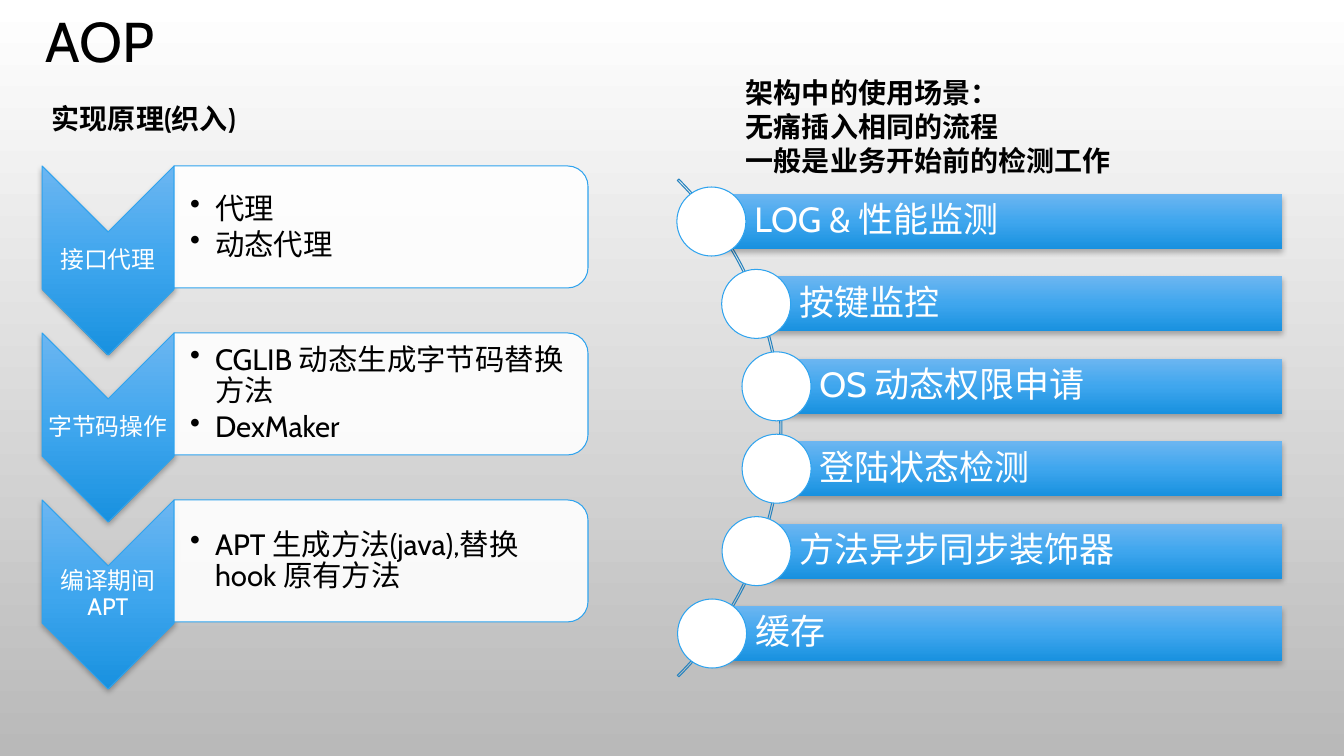
from math import sqrt

from lxml import etree
from pptx import Presentation
from pptx.dml.color import RGBColor
from pptx.enum.shapes import MSO_SHAPE
from pptx.enum.text import MSO_ANCHOR, PP_ALIGN
from pptx.oxml.ns import qn
from pptx.util import Emu, Pt

# Content
TITLE = "AOP"
HEADINGS = [  # left, top, width, height, lines
    (42, 97, 233, 44, ["实现原理(织入)"]),
    (736, 71, 388, 112, ["架构中的使用场景：", "无痛插入相同的流程", "一般是业务开始前的检测工作"]),
]
STEPS = [
    ("接口代理", ["代理", "动态代理"]),
    ("字节码操作", ["CGLIB 动态生成字节码替换方法", "DexMaker"]),
    ("编译期间 APT", ["APT 生成方法(java),替换 hook 原有方法"]),
]
USES = ["LOG & 性能监测", "按键监控", "OS 动态权限申请",
        "登陆状态检测", "方法异步同步装饰器", "缓存"]

# Style
FONT = "Cabin"
BLACK = RGBColor(0x00, 0x00, 0x00)
WHITE = RGBColor(0xFF, 0xFF, 0xFF)
GREY = RGBColor(0xB9, 0xB9, 0xB9)
EDGE_BLUE = RGBColor(0x2F, 0xA3, 0xEE)
ARC_BLUE = RGBColor(0x26, 0x83, 0xBF)
BLUES = [(0, RGBColor(0x6C, 0xB6, 0xF1)), (50, RGBColor(0x3F, 0xA6, 0xEE)),
         (100, RGBColor(0x18, 0x91, 0xDF))]
CHEVRON, PANEL = MSO_SHAPE.CHEVRON, MSO_SHAPE.ROUND_2_SAME_RECTANGLE
ARC, BAR, DOT = MSO_SHAPE.BLOCK_ARC, MSO_SHAPE.RECTANGLE, MSO_SHAPE.OVAL
MIDDLE, TOP = MSO_ANCHOR.MIDDLE, MSO_ANCHOR.TOP
LEFT, CENTER = PP_ALIGN.LEFT, PP_ALIGN.CENTER

# Layout in px
STEP_LEFT, STEP_TOP, STEP_PITCH = 42, 166, 167
CHEVRON_W, CHEVRON_H = 132, 189
PANEL_W, PANEL_H = 414, 122
ARC_X, ARC_Y, ARC_SIZE, DOT_ORBIT = 430, 428, 704, 349
BAR_TOP, BAR_SPAN, BAR_H, BAR_RIGHT, DOT_SIZE = 194, 412, 55, 1282, 69


def px(length):
    return Emu(round(length * 914400 / 100.8))


def add_child(parent, tag, **attributes):
    child = etree.SubElement(parent, qn(tag))
    for name, value in attributes.items():
        child.set(name, str(value))
    return child


def add_plain(kind, left, top, width, height, line=None):
    shape = page.shapes.add_shape(kind, px(left), px(top), px(width), px(height))
    shape.shadow.inherit = False
    shape.fill.background()
    if line is None:
        shape.line.fill.background()
    else:
        shape.line.color.rgb = line
        shape.line.width = Pt(0.75)
    return shape


def add_turned(kind, left, top, width, height):
    """Quarter-turned shape that shows in the given box."""
    shift = (width - height) / 2
    shape = add_plain(kind, left + shift, top - shift, height, width, EDGE_BLUE)
    shape.rotation = 90
    return shape


def paint_blue(shape):
    """Upright blue gradient with a soft shadow below."""
    properties = shape.fill._xPr
    gradient = etree.Element(qn("a:gradFill"), rotWithShape="0")
    stops = add_child(gradient, "a:gsLst")
    for position, color in BLUES:
        stop = add_child(stops, "a:gs", pos=position * 1000)
        add_child(stop, "a:srgbClr", val=color)
    add_child(gradient, "a:lin", ang=5400000, scaled=0)
    properties.replace(properties.find(qn("a:noFill")), gradient)
    shadow = add_child(properties.find(qn("a:effectLst")), "a:outerShdw",
                       blurRad=Pt(4), dist=Pt(2), dir=5400000, rotWithShape=0)
    add_child(add_child(shadow, "a:srgbClr", val=BLACK), "a:alpha", val=28000)


def write(box, lines, size, color=BLACK, align=LEFT, anchor=MIDDLE, insets=None,
          spacing=None, bold=False, bullets=False):
    frame = box.text_frame
    frame.word_wrap = True
    frame.vertical_anchor = anchor
    if insets:
        (frame.margin_left, frame.margin_top,
         frame.margin_right, frame.margin_bottom) = map(px, insets)
    for index, line in enumerate(lines):
        para = frame.add_paragraph() if index else frame.paragraphs[0]
        para.alignment = align
        if spacing:
            para.line_spacing = spacing
        if bullets:
            para.space_after = Pt(3)
            settings = para._p.get_or_add_pPr()
            settings.set("marL", str(px(25)))
            settings.set("indent", str(-px(25)))
            add_child(settings, "a:buChar", char="•")
        span = para.add_run()
        span.text = line
        span.font.name = FONT
        span.font.size = Pt(size)
        span.font.bold = bold
        span.font.color.rgb = color


def add_text(left, top, width, height, lines, size, **style):
    box = page.shapes.add_textbox(px(left), px(top), px(width), px(height))
    write(box, lines, size, **style)


deck = Presentation()
deck.slide_width, deck.slide_height = px(1344), px(756)
page = deck.slides.add_slide(deck.slide_layouts[5])

# Background and title
backdrop = page.background.fill
backdrop.gradient()
backdrop.gradient_angle = 270
for stop, color in zip(backdrop.gradient_stops, (WHITE, GREY)):
    stop.color.rgb = color
title = page.shapes.title
title.left, title.top, title.width, title.height = px(0), px(19), px(200), px(51)
write(title, [TITLE], 40, align=CENTER, spacing=0.9)

# Implementation steps
panel_left = STEP_LEFT + CHEVRON_W
for index, (label, points) in enumerate(STEPS):
    top = STEP_TOP + index * STEP_PITCH
    paint_blue(add_turned(CHEVRON, STEP_LEFT, top, CHEVRON_W, CHEVRON_H))
    add_text(STEP_LEFT, top + 67, CHEVRON_W, 56, [label], 17, color=WHITE,
             align=CENTER, insets=(1, 1, 1, 1), spacing=0.9)
    panel = add_turned(PANEL, panel_left, top, PANEL_W, PANEL_H)
    panel.fill.solid()
    panel.fill.fore_color.rgb = WHITE
    add_child(panel.fill._xPr.find(qn("a:solidFill"))[0], "a:alpha", val=90000)
    add_text(panel_left, top + 6, PANEL_W - 6, PANEL_H - 11, points, 21,
             insets=(16, 1, 1, 1), spacing=0.9, bullets=True)

# Column headings
for left, top, width, height, lines in HEADINGS:
    add_text(left, top, width, height, lines, 20, anchor=TOP, bold=True)

# Arc behind the use cases
arc = add_plain(ARC, ARC_X - ARC_SIZE / 2, ARC_Y - ARC_SIZE / 2,
                ARC_SIZE, ARC_SIZE, ARC_BLUE)
for index, value in enumerate((189, 27, 0.003)):
    arc.adjustments[index] = value

# Use cases: each bar starts at its dot's centre on the arc
for index, use in enumerate(USES):
    top = BAR_TOP + BAR_SPAN * index / (len(USES) - 1)
    middle = top + BAR_H / 2
    left = ARC_X + sqrt(DOT_ORBIT ** 2 - (middle - ARC_Y) ** 2)
    bar = add_plain(BAR, left, top, BAR_RIGHT - left, BAR_H)
    paint_blue(bar)
    write(bar, [use], 25, color=WHITE, insets=(43, 7, 7, 7), spacing=0.9)
    dot = add_plain(DOT, left - DOT_SIZE / 2, middle - DOT_SIZE / 2,
                    DOT_SIZE, DOT_SIZE, EDGE_BLUE)
    dot.fill.solid()
    dot.fill.fore_color.rgb = WHITE

deck.save("out.pptx")
